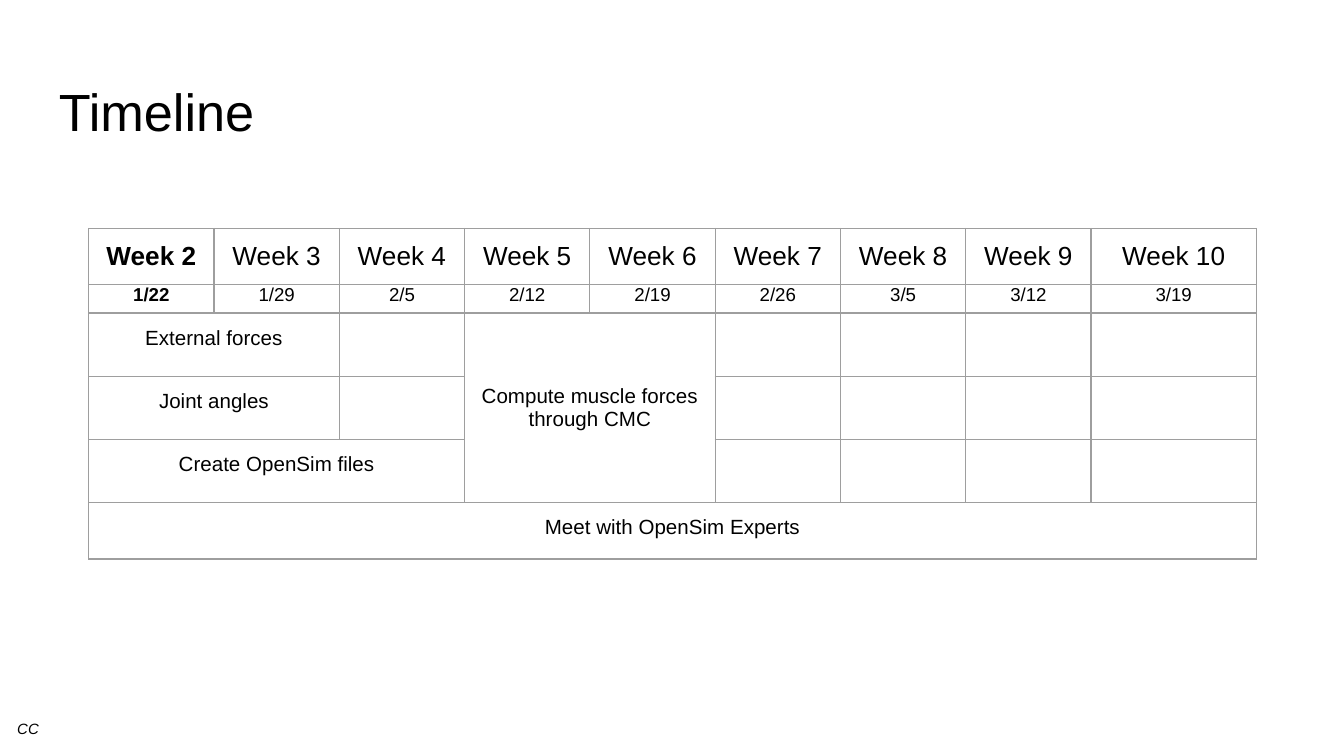
from pptx import Presentation
from pptx.dml.color import RGBColor
from pptx.enum.text import MSO_ANCHOR as Anchor, PP_ALIGN as Align
from pptx.oxml import parse_xml
from pptx.oxml.ns import nsdecls
from pptx.util import Inches, Pt

COLORS = {"text": "000000", "grid": "9E9E9E", "background": "FFFFFF"}
DATES = ["1/22", "1/29", "2/5", "2/12", "2/19", "2/26", "3/5", "3/12", "3/19"]
WEEKS = [f"Week {number}" for number in range(2, 2 + len(DATES))]
TABLE_WIDTH, LAST_WIDTH = 8.69, 1.23
COLUMN_WIDTHS = [(TABLE_WIDTH - LAST_WIDTH) / 8] * 8 + [LAST_WIDTH]
ROW_HEIGHTS = [0.42, 0.21] + [0.42] * 4
TASKS = [
    ("External forces", 2, 0, 1, 2, Anchor.TOP),
    ("Joint angles", 3, 0, 1, 2, Anchor.TOP),
    ("Create OpenSim files", 4, 0, 1, 3, Anchor.TOP),
    ("Compute muscle forces through CMC", 2, 3, 3, 2, Anchor.MIDDLE),
    ("Meet with OpenSim Experts", 5, 0, 1, 9, Anchor.TOP),
]


class TimelineSlide:
    """Holds the style and the slide on which the timeline is built."""

    def __init__(self, deck, font="Arial", inset=0.1):
        self.slide = deck.slides.add_slide(deck.slide_layouts[6])
        self.font = font
        self.inset = Inches(inset)
        fill = self.slide.background.fill
        fill.solid()
        fill.fore_color.rgb = RGBColor.from_string(COLORS["background"])

    def style(self, frame, size, bold=False, italic=False, align=Align.LEFT):
        for paragraph in frame.paragraphs:
            paragraph.alignment = align
            for run in paragraph.runs:
                run.font.name = self.font
                run.font.size = Pt(size)
                run.font.bold = bold
                run.font.italic = italic
                run.font.color.rgb = RGBColor.from_string(COLORS["text"])

    def text(self, words, left, top, width, height, size, italic=False):
        box = self.slide.shapes.add_textbox(*map(Inches, (left, top, width, height)))
        frame = box.text_frame
        frame.word_wrap = True
        frame.margin_left = frame.margin_right = self.inset
        frame.margin_top = frame.margin_bottom = self.inset
        frame.text = words
        self.style(frame, size, italic=italic)

    def grid(self, left, top, widths, heights):
        frame = self.slide.shapes.add_table(
            len(heights), len(widths), Inches(left), Inches(top),
            Inches(sum(widths)), Inches(sum(heights)))
        table = frame.table
        table.first_row = table.horz_banding = False
        for column, width in zip(table.columns, widths):
            column.width = Inches(width)
        for row, height in zip(table.rows, heights):
            row.height = Inches(height)
        for cell in table.iter_cells():
            cell.margin_left = cell.margin_right = cell.margin_top = self.inset
            cell.margin_bottom = Inches(0.07)
            self.border(cell)
            cell.fill.background()
        return table

    def border(self, cell, width=0.75):
        properties = cell._tc.get_or_add_tcPr()
        for side in ("lnL", "lnR", "lnT", "lnB"):
            properties.append(parse_xml(
                f'<a:{side} {nsdecls("a")} w="{Pt(width)}"><a:solidFill>'
                f'<a:srgbClr val="{COLORS["grid"]}"/></a:solidFill></a:{side}>'))

    def cell(self, cell, words, size, bold=False, anchor=Anchor.TOP):
        cell.text_frame.text = words
        cell.vertical_anchor = anchor
        self.style(cell.text_frame, size, bold, align=Align.CENTER)


def main():
    deck = Presentation()
    deck.slide_width = Inches(10)
    deck.slide_height = deck.slide_width * 9 // 16
    page = TimelineSlide(deck)
    page.text("Timeline", 0.34, 0.49, 9.32, 0.63, 28)

    timeline = page.grid(0.66, 1.7, COLUMN_WIDTHS, ROW_HEIGHTS)
    for column, (week, date) in enumerate(zip(WEEKS, DATES)):
        current = column == 0
        page.cell(timeline.cell(0, column), week, 14, current)
        date_cell = timeline.cell(1, column)
        date_cell.margin_top = date_cell.margin_bottom = 0
        page.cell(date_cell, date, 10, current)
    for task, row, column, rows, columns, anchor in TASKS:
        start = timeline.cell(row, column)
        start.merge(timeline.cell(row + rows - 1, column + columns - 1))
        start.margin_bottom = page.inset
        page.cell(start, task, 11, anchor=anchor)

    page.text("CC", 0.03, 5.29, 0.52, 0.34, 8, italic=True)
    deck.save("out.pptx")


if __name__ == "__main__":
    main()
